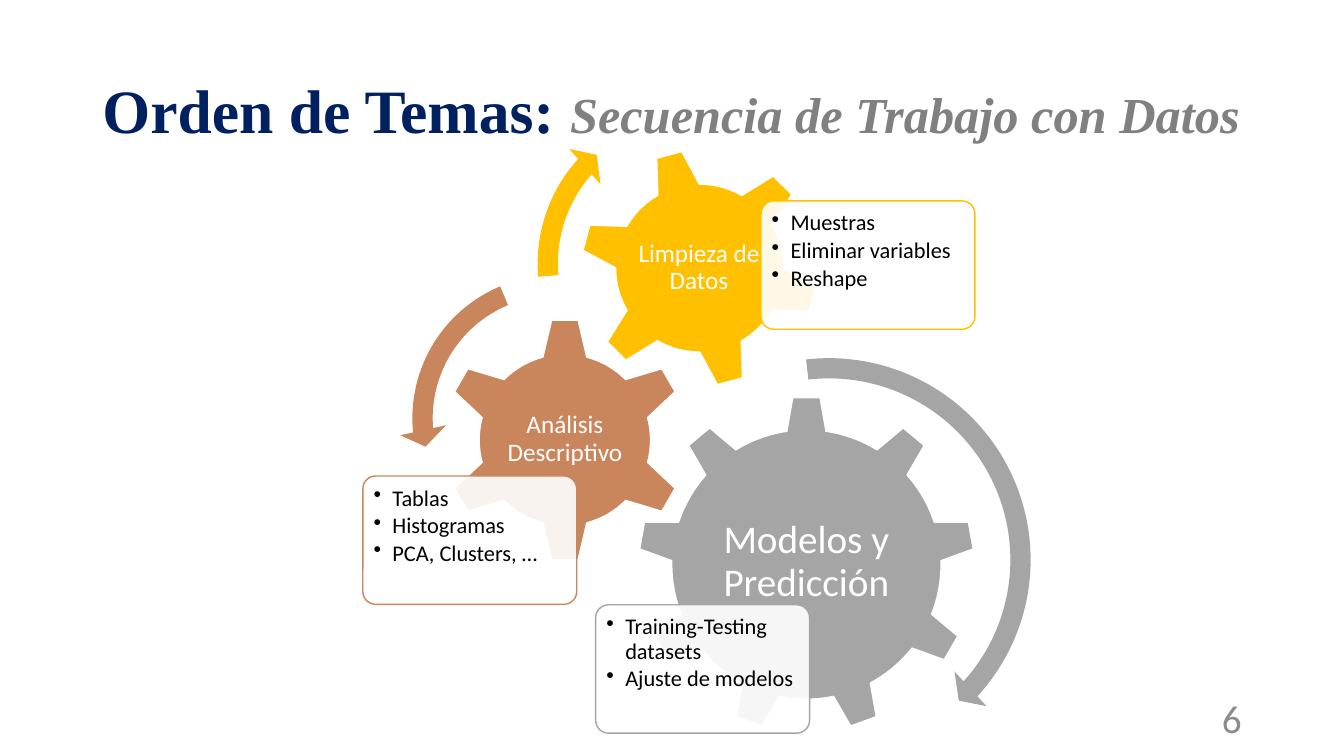
import pptx
import pptx.util
import pptx.dml.color
import pptx.enum.shapes
import pptx.enum.text
import pptx.oxml
import pptx.oxml.ns

Pt = pptx.util.Pt
RGB = pptx.dml.color.RGBColor
SHAPE = pptx.enum.shapes.MSO_SHAPE
ALIGN = pptx.enum.text.PP_ALIGN
ANCHOR = pptx.enum.text.MSO_ANCHOR

NAVY = RGB(0x00, 0x20, 0x60)
SLATE = RGB(0x80, 0x80, 0x80)
PALE = RGB(0x8C, 0x8C, 0x8C)
GRAY = RGB(0xA5, 0xA5, 0xA5)
BROWN = RGB(0xC9, 0x86, 0x5C)
GOLD = RGB(0xFF, 0xC0, 0x00)
WHITE = RGB(0xFF, 0xFF, 0xFF)
BLACK = RGB(0x00, 0x00, 0x00)

SANS = "Calibri"
SERIF = "Times New Roman"
CARD = (152.8, 91.7)

# shape, left, top, side, turn, colour
GEARS = {
    "model": (SHAPE.GEAR_9, 455.8, 283, 240.5, 0, GRAY),
    "study": (SHAPE.GEAR_6, 316, 226.8, 175, 0, BROWN),
    "clean": (SHAPE.GEAR_6, 414, 105.8, 171.4, -15, GOLD),
}
# text, size, left, top, width, height
LABELS = {
    "model": ("Modelos y Predicción", 28, 504, 339.8, 144, 123.8),
    "study": ("Análisis Descriptivo", 18, 360, 270.7, 87.1, 86.4),
    "clean": ("Limpieza de Datos", 18, 451.4, 143.3, 95.8, 95.8),
}
# left, top, items
CARDS = {
    "model": (425.5, 432, ["Training-Testing datasets", "Ajuste de modelos"]),
    "study": (259.2, 340, ["Tablas", "Histogramas", "PCA, Clusters, …"]),
    "clean": (543.6, 143.5, ["Muestras", "Eliminar variables", "Reshape"]),
}
# shape, left, top, side, colour, adjustments
ARROWS = [
    (SHAPE.CIRCULAR_ARROW, 438.5, 246.2, 307.4, GRAY,
     (0.047, 2.99, 25.412, 158.084, 0.055)),
    (SHAPE.LEFT_CIRCULAR_ARROW, 285.1, 187.2, 223.2, BROWN,
     (0.065, 4.3, 104.891, 148.378, 0.075)),
    (SHAPE.CIRCULAR_ARROW, 374.4, 67.7, 241.2, GOLD,
     (0.06, 3.941, 133.138, 105.082, 0.07)),
]


def add_run(para, text, size, color, name=SANS, bold=False, italic=False):
    run = para.add_run()
    run.text = text
    font = run.font
    font.name, font.size = name, Pt(size)
    font.bold, font.italic = bold, italic
    font.color.rgb = color


def set_frame(frame, inset, anchor):
    frame.word_wrap = True
    frame.auto_size = pptx.enum.text.MSO_AUTO_SIZE.NONE
    frame.vertical_anchor = anchor
    frame.margin_left = frame.margin_right = Pt(inset)
    frame.margin_top = frame.margin_bottom = Pt(inset)


def add_bullet(para):
    props = para._p.get_or_add_pPr()
    props.set("marL", str(Pt(13.5)))
    props.set("indent", str(-Pt(13.5)))
    space = pptx.oxml.ns.nsdecls("a")
    props.append(pptx.oxml.parse_xml(f'<a:buChar {space} char="•"/>'))


def add_solid(slide, kind, left, top, width, height, fill, line=None):
    shape = slide.shapes.add_shape(
        kind, Pt(left), Pt(top), Pt(width), Pt(height))
    shape.shadow.inherit = False
    shape.fill.solid()
    shape.fill.fore_color.rgb = fill
    if line is None:
        shape.line.fill.background()
    else:
        shape.line.color.rgb = line
        shape.line.width = Pt(1)
    return shape


def add_text(slide, text, size, color, left, top, width, height, inset, align):
    box = slide.shapes.add_textbox(Pt(left), Pt(top), Pt(width), Pt(height))
    set_frame(box.text_frame, inset, ANCHOR.MIDDLE)
    para = box.text_frame.paragraphs[0]
    para.alignment = align
    para.line_spacing = 0.9
    add_run(para, text, size, color)


def add_gear(slide, kind, left, top, side, turn, color):
    gear = add_solid(slide, kind, left, top, side, side, color, WHITE)
    gear.rotation = turn


def add_card(slide, left, top, items, color):
    """Add a nearly opaque rounded box with a bulleted list."""
    card = add_solid(
        slide, SHAPE.ROUNDED_RECTANGLE, left, top, *CARD, WHITE, color)
    card.adjustments[0] = 0.1
    tint = card.fill._xPr.find(".//" + pptx.oxml.ns.qn("a:srgbClr"))
    space = pptx.oxml.ns.nsdecls("a")
    tint.append(pptx.oxml.parse_xml(f'<a:alpha {space} val="90000"/>'))
    frame = card.text_frame
    set_frame(frame, 5, ANCHOR.TOP)
    for index, item in enumerate(items):
        para = frame.add_paragraph() if index else frame.paragraphs[0]
        add_bullet(para)
        para.alignment = ALIGN.LEFT
        para.line_spacing = 0.9
        para.space_after = Pt(2.4)
        add_run(para, item, 16, BLACK)


def add_arrow(slide, kind, left, top, side, color, values):
    arrow = add_solid(slide, kind, left, top, side, side, color)
    for index, value in enumerate(values):
        arrow.adjustments[index] = value


def set_title(slide):
    title = slide.shapes.title
    title.left, title.top = Pt(66), Pt(28.8)
    title.width, title.height = Pt(828), Pt(104.4)
    set_frame(title.text_frame, 7.2, ANCHOR.MIDDLE)
    para = title.text_frame.paragraphs[0]
    para.alignment = ALIGN.LEFT
    para.line_spacing = 0.9
    add_run(para, "Orden de Temas: ", 44, NAVY, SERIF, bold=True)
    add_run(para, "Secuencia de Trabajo con Datos", 36, SLATE, SERIF,
            bold=True, italic=True)


def main():
    deck = pptx.Presentation()
    deck.slide_width, deck.slide_height = Pt(960), Pt(540)
    slide = deck.slides.add_slide(deck.slide_layouts[5])
    set_title(slide)
    for stage, gear in GEARS.items():
        add_gear(slide, *gear)
        text, size, *place = LABELS[stage]
        add_text(slide, text, size, WHITE, *place, 2.5, ALIGN.CENTER)
        add_card(slide, *CARDS[stage], gear[-1])
    for arrow in ARROWS:
        add_arrow(slide, *arrow)
    add_text(slide, "6", 28, PALE, 678, 500.5, 216, 28.8, 7.2, ALIGN.RIGHT)
    deck.save("out.pptx")


if __name__ == "__main__":
    main()
